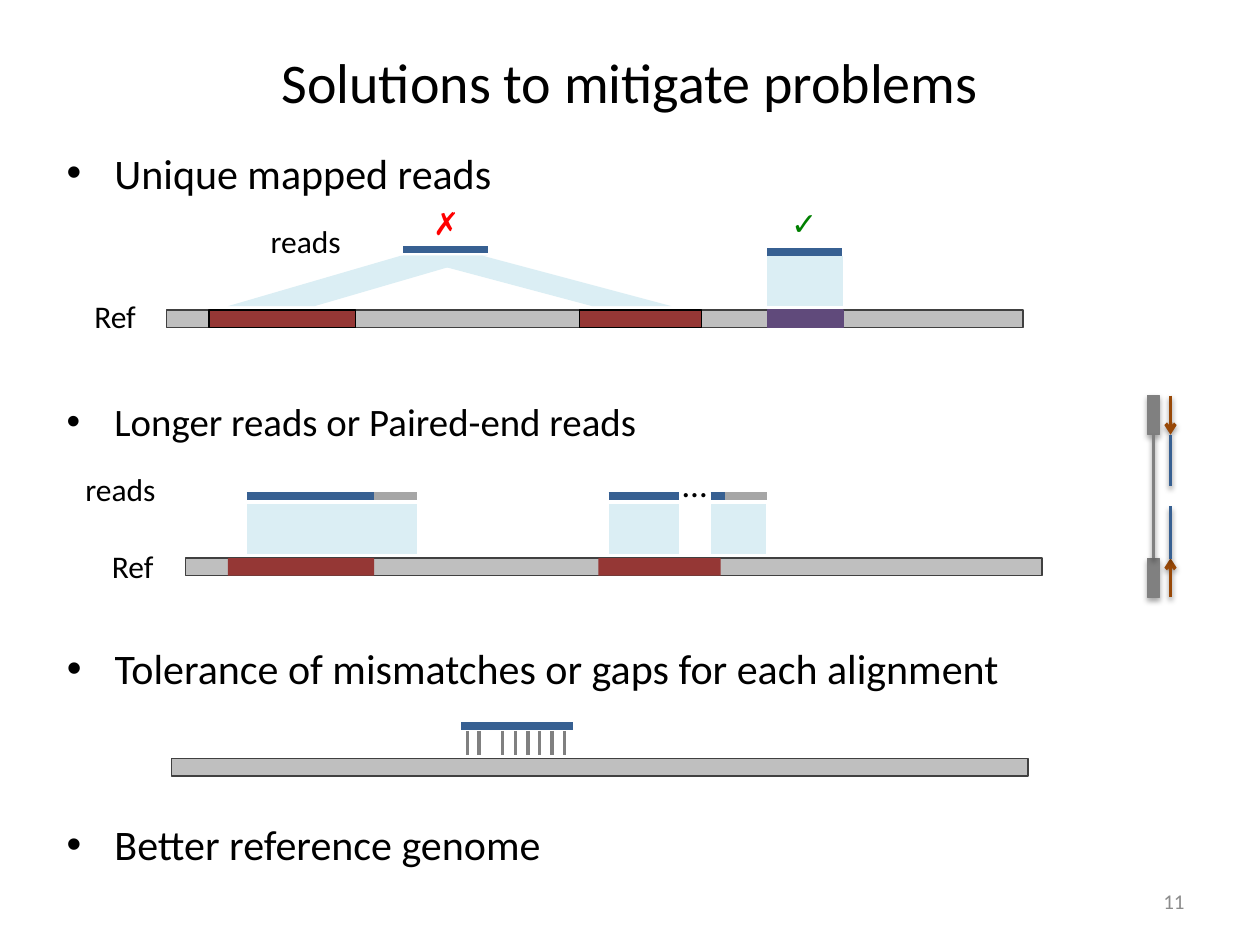
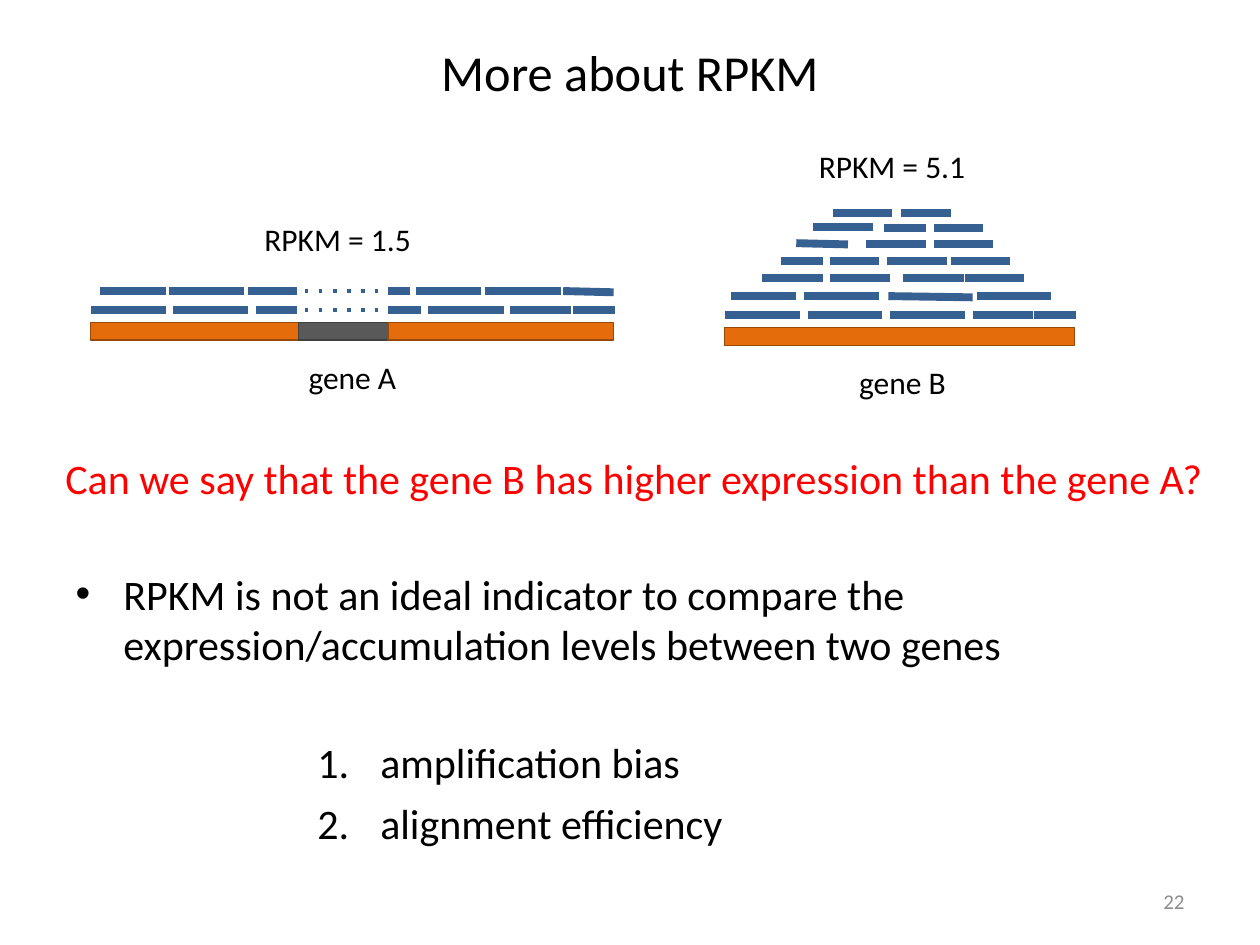
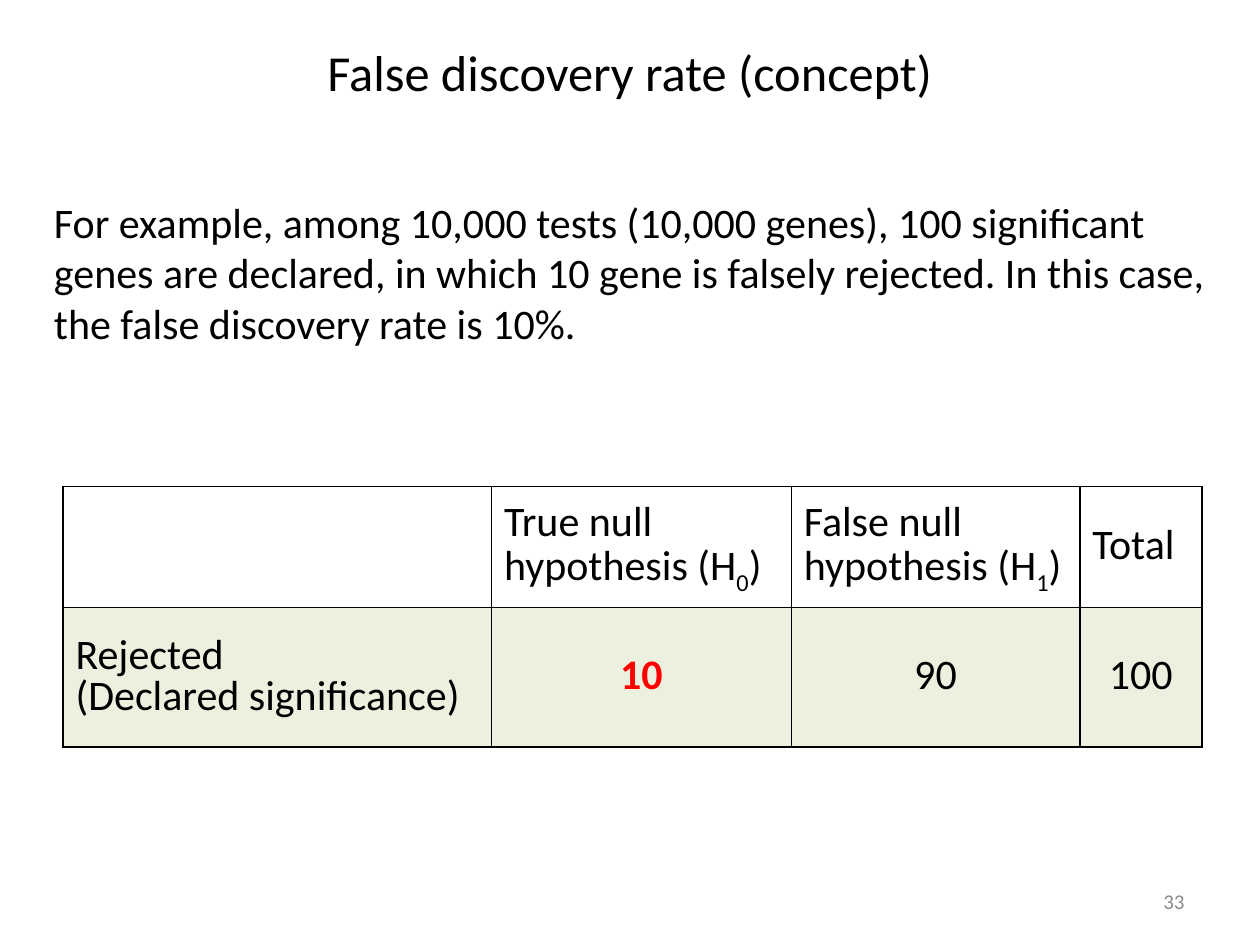
from lxml.etree import SubElement
from pptx import Presentation
from pptx.dml.color import RGBColor
from pptx.enum.shapes import MSO_CONNECTOR, MSO_SHAPE as SHAPE
from pptx.enum.text import MSO_ANCHOR as ANCHOR, MSO_AUTO_SIZE as FIT, PP_ALIGN as ALIGN
from pptx.oxml.ns import qn
from pptx.util import Emu, Pt

BLACK, RED, GREEN = "000000", "FF0000", "008000"
READ, TAIL, BEAM = "376092", "A6A6A6", "DBEEF4"
REFERENCE, OUTLINE, REPEAT, UNIQUE = "BFBFBF", "404040", "953735", "604A7B"
GENE, GENE_EDGE, MASKED = "E46C0A", "984807", "595959"
GREY, PAGE_GREY, ROW_TINT = "808080", "8C8C8C", "EBF1DE"
READ_WIDTH, THIN, EDGE = 4.5, 2, 0.75
BAR_HEIGHT = 14


def px(*lengths):
    """Turn px (100 to the inch) into EMU."""
    return [Emu(length * 9144) for length in lengths]


def rgb(hex_code):
    return RGBColor.from_string(hex_code)


def child(parent, tag, **attributes):
    return SubElement(parent, qn(tag), attributes)


def soft_shadow(spPr, opacity, distance):
    effects = spPr.find(qn("a:effectLst"))
    shadow = child(effects, "a:outerShdw", blurRad="39370", dist=str(Pt(distance)),
                   dir="5400000", rotWithShape="0")
    tone = child(shadow, "a:srgbClr", val=BLACK)
    child(tone, "a:alpha", val=str(opacity * 1000))


class Deck:
    font = "Calibri"

    def __init__(self):
        self.prs = Presentation()
        self.prs.slide_width, self.prs.slide_height = px(1000, 750)
        self.slide = None

    def new_slide(self, title, number, top, height, size, layout=1):
        self.slide = self.prs.slides.add_slide(self.prs.slide_layouts[layout])
        self.place(self.slide.shapes.title, 50, top, 900, height)
        self.add_words(self.slide.shapes.title.text_frame, [[title]], size,
                       align=ALIGN.CENTER)
        page = self.text([str(number)], 717, 695, 233, 40, 12, PAGE_GREY,
                         wrap=True, align=ALIGN.RIGHT)
        page.text_frame.vertical_anchor = ANCHOR.MIDDLE

    def place(self, shape, *box):
        shape.left, shape.top, shape.width, shape.height = px(*box)
        shape.text_frame.auto_size = FIT.NONE

    def add_words(self, frame, paragraphs, size, color=BLACK, align=None, spacing=None,
                  font=None, bold=None):
        """Each paragraph is a list of runs; every second run is a subscript."""
        for index, runs in enumerate(paragraphs):
            paragraph = frame.paragraphs[0] if index == 0 else frame.add_paragraph()
            paragraph.alignment, paragraph.line_spacing = align, spacing
            for position, words in enumerate(runs):
                run = paragraph.add_run()
                run.text = words
                run.font.name, run.font.size = font or self.font, Pt(size)
                run.font.bold, run.font.color.rgb = bold, rgb(color)
                if position % 2:
                    run.font._element.set("baseline", "-25000")

    def text(self, lines, x, y, w, h, size=18, color=BLACK, wrap=False, **style):
        box = self.slide.shapes.add_textbox(*px(x, y, w, h))
        box.text_frame.word_wrap = wrap
        box.text_frame.auto_size = FIT.NONE if wrap else FIT.SHAPE_TO_FIT_TEXT
        self.add_words(box.text_frame, [[line] for line in lines], size, color, **style)
        return box

    def mark(self, frame, indent, tag, **attributes):
        """Give every paragraph a hanging bullet or number."""
        for paragraph in frame.paragraphs:
            pPr = paragraph._p.get_or_add_pPr()
            hang = px(indent)[0]
            pPr.set("marL", str(hang))
            pPr.set("indent", str(-hang))
            child(pPr, "a:buFont", typeface="Arial" if tag == "a:buChar" else "+mj-lt")
            child(pPr, tag, **attributes)

    def bullet(self, words, x, y, w, h, size=24, in_body=False):
        if in_body:
            item = self.slide.placeholders[1]
            self.place(item, x, y, w, h)
            self.add_words(item.text_frame, [[words]], size)
        else:
            item = self.text([words], x, y, w, h, size, wrap=True)
        self.mark(item.text_frame, 38, "a:buChar", char="•")

    def shape(self, kind, x, y, w, h, fill, edge=None):
        item = self.slide.shapes.add_shape(kind, *px(x, y, w, h))
        item.shadow.inherit = False
        item.fill.solid()
        item.fill.fore_color.rgb = rgb(fill)
        if edge:
            item.line.color.rgb = rgb(edge)
            item.line.width = Pt(EDGE)
        else:
            item.line.fill.background()
        return item

    def bar(self, x, y, w, fill, edge=None, h=BAR_HEIGHT):
        return self.shape(SHAPE.RECTANGLE, x, y, w, h, fill, edge)

    def beam(self, x, y, w, lean=0, mirrored=False):
        """Pale band that shows where a read maps."""
        band = self.shape(SHAPE.PARALLELOGRAM, x, y, w, 40, BEAM)
        band.adjustments[0] = lean
        if mirrored:
            band._element.spPr.find(qn("a:xfrm")).set("flipH", "1")

    def line(self, x1, y1, x2, y2, color=READ, width=READ_WIDTH, dash=None,
             arrow=False, shadow=False):
        item = self.slide.shapes.add_connector(MSO_CONNECTOR.STRAIGHT, *px(x1, y1, x2, y2))
        item.line.color.rgb = rgb(color)
        item.line.width = Pt(width)
        spPr = item._element.spPr
        ln = spPr.find(qn("a:ln"))
        if dash:
            child(ln, "a:prstDash", val=dash)
        if arrow:
            child(ln, "a:tailEnd", type="arrow")
        child(spPr, "a:effectLst")
        if shadow:
            soft_shadow(spPr, 38, 1.6)
        return item

    def reads(self, y, *spans, **style):
        """Draw reads from left to right; a third number in a span tilts it."""
        for left, right, *drop in spans:
            self.line(left, y, right, y + sum(drop), **style)

    def table(self, x, y, columns, rows):
        frame = self.slide.shapes.add_table(
            len(rows), len(columns), *px(x, y, sum(columns), sum(rows)))
        grid = frame.table
        grid.first_row = grid.horz_banding = False
        for column, width in zip(grid.columns, px(*columns)):
            column.width = width
        for row, height in zip(grid.rows, px(*rows)):
            row.height = height
        return grid

    def cell(self, cell, paragraphs, fill=None, **style):
        tcPr = cell._tc.get_or_add_tcPr()
        for side in "LRTB":
            border = child(tcPr, f"a:ln{side}", w=str(Pt(1)))
            child(child(border, "a:solidFill"), "a:srgbClr", val=BLACK)
        if fill:
            cell.fill.solid()
            cell.fill.fore_color.rgb = rgb(fill)
        else:
            cell.fill.background()
        cell.vertical_anchor = ANCHOR.MIDDLE
        self.add_words(cell.text_frame, paragraphs, 24, spacing=0.8, **style)


def unique_reads(deck):
    deck.bullet("Unique mapped reads", 43, 112, 496, 50)
    deck.bar(132, 246, 680, REFERENCE, OUTLINE)
    for x, width in ((166, 116), (460, 97)):
        deck.bar(x, 246, width, REPEAT, BLACK)
    deck.reads(200, (609, 668))
    deck.reads(198, (320, 387))
    deck.beam(181, 203, 206, 3.43)
    deck.beam(320, 203, 213, 3.75, mirrored=True)
    deck.beam(609, 203, 60)
    deck.bar(609, 246, 60, UNIQUE, UNIQUE)
    deck.text(["reads"], 205, 171, 77, 40)
    deck.text(["✓"], 618, 157, 40, 40, color=GREEN, font="Arial")
    deck.text(["✗"], 334, 157, 37, 40, color=RED, font="Arial")
    deck.text(["Ref"], 65, 231, 55, 40)


def longer_reads(deck):
    deck.bullet("Longer reads or Paired-end reads", 43, 311, 496, 50, 22.2)
    deck.bar(147, 443, 680, REFERENCE, OUTLINE)
    for x, width in ((181, 116), (475, 97)):
        deck.bar(x, 443, width, REPEAT)
    deck.reads(394, (196, 297), (483, 539), (564, 575))
    deck.reads(394, (297, 331), (575, 609), color=TAIL)
    for x, width in ((196, 135), (483, 56), (564, 44)):
        deck.beam(x, 400, width)
    deck.text(["reads"], 58, 368, 77, 40)
    deck.text(["Ref"], 79, 429, 55, 40)
    deck.text(["…"], 532, 362, 40, 44, 20)


def paired_end_sketch(deck):
    exons = [deck.bar(911, y, 9, GREY, GREY, h=31) for y in (314, 443)]
    for exon in exons:
        soft_shadow(exon._element.spPr, 35, 1.8)
    intron = deck.line(916, 345, 916, 443, GREY, THIN, shadow=True)
    intron.begin_connect(exons[0], 2)
    intron.end_connect(exons[1], 0)
    for outer, inner in ((314, 345), (474, 443)):
        deck.line(929, outer, 929, inner, GENE_EDGE, THIN, arrow=True, shadow=True)
    for top, bottom in ((345, 386), (402, 444)):
        deck.line(929, top, 929, bottom, READ, THIN, shadow=True)


def mismatches(deck):
    deck.bullet("Tolerance of mismatches or gaps for each alignment",
                43, 505, 769, 62, in_body=True)
    mismatch = 2
    for base in range(9):
        if base != mismatch:
            x = 371 + base * 77 // 8
            deck.line(x, 580, x, 599, GREY, THIN)
    deck.reads(576, (366, 455))
    deck.bar(136, 602, 680, REFERENCE, OUTLINE)


def solutions_slide(deck):
    deck.new_slide("Solutions to mitigate problems", 11, 30, 69, 32)
    unique_reads(deck)
    longer_reads(deck)
    paired_end_sketch(deck)
    mismatches(deck)
    deck.bullet("Better reference genome", 43, 645, 769, 62)


def rpkm_slide(deck):
    deck.new_slide("More about RPKM", 22, 30, 54, 28.8)
    deck.bullet("RPKM is not an ideal indicator to compare the "
                "expression/accumulation levels between two genes",
                50, 446, 900, 107, in_body=True)

    for x, width, fill, edge in ((72, 165, GENE, GENE_EDGE), (237, 71, MASKED, OUTLINE),
                                 (308, 179, GENE, GENE_EDGE)):
        deck.bar(x, 256, width, fill, edge)
    deck.reads(231, (79, 132), (134, 194), (197, 236), (308, 325), (330, 382),
               (385, 445), (447, 487, 1))
    deck.reads(246, (72, 132), (137, 197), (203, 236), (308, 334), (340, 400),
               (405, 453), (455, 488))
    for y in (231, 246):
        deck.reads(y, (242, 300), width=THIN, dash="dot")

    deck.bar(575, 260, 278, GENE, GENE_EDGE)
    gene_b_reads = (
        (169, (661, 708), (715, 755)),
        (180, (645, 693)),
        (181, (702, 735), (741, 780)),
        (193, (632, 673, 1)),
        (194, (687, 735), (741, 788)),
        (207, (620, 653), (659, 698), (704, 752), (755, 802)),
        (221, (605, 653), (659, 706), (717, 765), (766, 813)),
        (235, (580, 632), (638, 698), (705, 772, 1), (775, 834)),
        (250, (575, 635), (641, 700), (706, 766), (772, 820), (821, 854)),
    )
    for row in gene_b_reads:
        deck.reads(*row)

    for label, x, y, width in (("gene A", 235, 279, 91), ("gene B", 672, 283, 90),
                               ("RPKM = 1.5", 200, 170, 138),
                               ("RPKM = 5.1", 640, 112, 138)):
        deck.text([label], x, y, width, 40)
    deck.text(["Can we say that the gene B has higher expression than the gene A?"],
              42, 354, 936, 50, 24, RED)
    causes = deck.text(["amplification bias", "alignment efficiency"],
                       242, 572, 346, 106, 24, spacing=1.2)
    deck.mark(causes.text_frame, 50, "a:buAutoNum", type="arabicPeriod")


def discovery_slide(deck):
    deck.new_slide("False discovery rate (concept)", 33, 32, 50, 28.8, layout=5)
    deck.text(["For example, among 10,000 tests (10,000 genes), 100 significant genes "
               "are declared, in which 10 gene is falsely rejected. In this case, the "
               "false discovery rate is 10%."], 33, 151, 952, 131, 24, wrap=True)

    counts = deck.table(50, 386, (340, 238, 229, 97), (96, 111))
    headings = ([], [["True null hypothesis (H", "0", ")"]],
                [["False null hypothesis (H", "1", ")"]], [["Total"]])
    for column, heading in enumerate(headings):
        deck.cell(counts.cell(0, column), heading)
    deck.cell(counts.cell(1, 0), [["Rejected"], ["(Declared significance)"]], ROW_TINT)
    for column, (count, color) in enumerate((("10", RED), ("90", BLACK), ("100", BLACK)), 1):
        deck.cell(counts.cell(1, column), [[count]], ROW_TINT, color=color,
                  align=ALIGN.CENTER, bold=color == RED)


def main():
    deck = Deck()
    solutions_slide(deck)
    rpkm_slide(deck)
    discovery_slide(deck)
    deck.prs.save("out.pptx")


if __name__ == "__main__":
    main()
